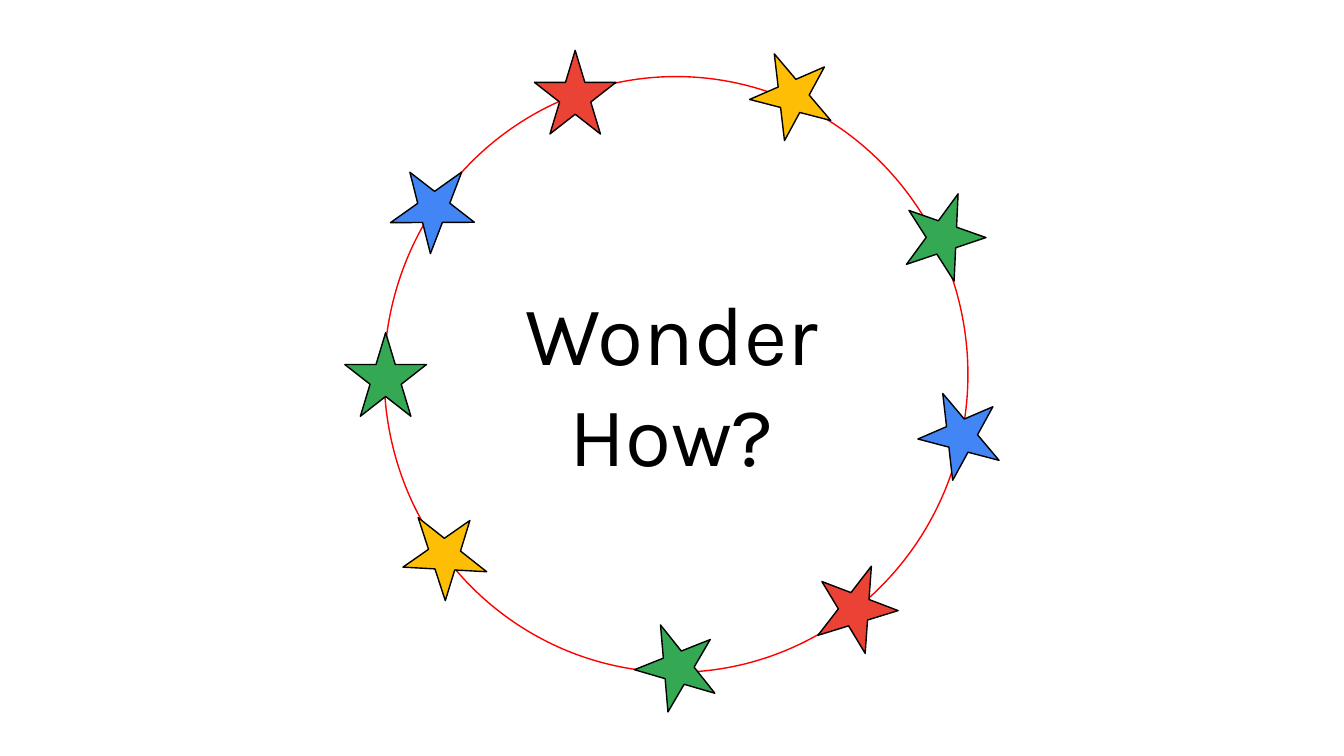
from pptx import Presentation
from pptx.dml.color import RGBColor
from pptx.enum.shapes import MSO_SHAPE
from pptx.enum.text import MSO_ANCHOR, PP_ALIGN
from pptx.util import Pt

RING = MSO_SHAPE.FLOWCHART_CONNECTOR
STAR = MSO_SHAPE.STAR_5_POINT
TOP = MSO_ANCHOR.TOP
CENTER = PP_ALIGN.CENTER

EMU_PER_PX = 9144  # 100 px to the inch
SLIDE_WIDTH, SLIDE_HEIGHT = 1333, 750
STAR_WIDTH, STAR_HEIGHT = 81, 83
COLORS = {
    "ring": "FF0000",
    "black": "000000",
    "green": "34A853",
    "blue": "4285F4",
    "red": "EA4335",
    "yellow": "FDBE05",
}

# Left, top, rotation in degrees, colour
STARS = [
    (342, 330, 0, "green"),
    (392, 162, 37.8, "blue"),
    (530, 50, 0, "red"),
    (744, 50, -23.5, "yellow"),
    (896, 190, 19.4, "green"),
    (911, 387, -23.3, "blue"),
    (809, 559, 20.9, "red"),
    (398, 506, -34.9, "yellow"),
    (630, 617, -21.7, "green"),
]


def px(length):
    return length * EMU_PER_PX


class SlideBuilder:
    """Holds the text style and the current slide."""

    def __init__(self, slide, font_name):
        self.slide = slide
        self.font_name = font_name

    def color(self, name):
        return RGBColor.from_string(COLORS[name])

    def add_outlined(self, kind, left, top, width, height, line, fill=None):
        shape = self.slide.shapes.add_shape(
            kind, px(left), px(top), px(width), px(height))
        shape.shadow.inherit = False
        if fill:
            shape.fill.solid()
            shape.fill.fore_color.rgb = self.color(fill)
        else:
            shape.fill.background()
        shape.line.color.rgb = self.color(line)
        shape.line.width = Pt(1)
        return shape

    def add_star(self, left, top, rotation, fill):
        star = self.add_outlined(
            STAR, left, top, STAR_WIDTH, STAR_HEIGHT, "black", fill)
        star.rotation = rotation

    def add_title(self, text, left, top, width, height, size):
        box = self.slide.shapes.add_textbox(
            px(left), px(top), px(width), px(height))
        text_frame = box.text_frame
        text_frame.word_wrap = True
        text_frame.vertical_anchor = TOP
        text_frame.margin_left = text_frame.margin_right = px(10)
        text_frame.margin_top = text_frame.margin_bottom = px(10)
        text_frame.text = text
        paragraph = text_frame.paragraphs[0]
        paragraph.alignment = CENTER
        font = paragraph.runs[0].font
        font.name = self.font_name
        font.size = Pt(size)
        font.color.rgb = self.color("black")


def main():
    presentation = Presentation()
    presentation.slide_width = px(SLIDE_WIDTH)
    presentation.slide_height = px(SLIDE_HEIGHT)
    slide = presentation.slides.add_slide(presentation.slide_layouts[6])
    builder = SlideBuilder(slide, "Karla")

    # Ring with its stars
    builder.add_outlined(RING, 381, 76, 579, 591, "ring")
    for star in STARS:
        builder.add_star(*star)

    # Title in the middle of the ring
    builder.add_title("Wonder How?", 481, 269, 370, 212, 60)

    presentation.save("out.pptx")


if __name__ == "__main__":
    main()
